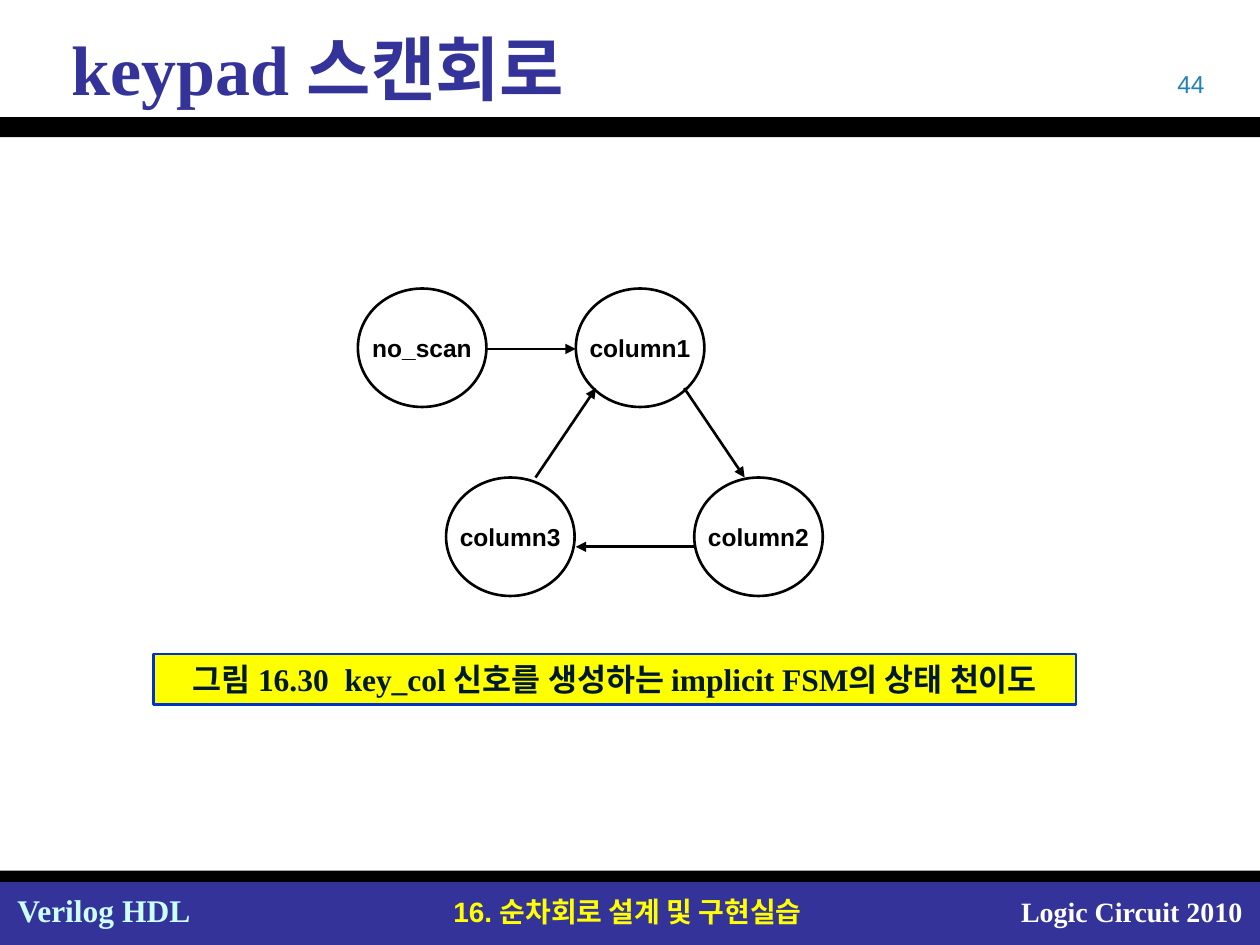
from lxml.etree import SubElement
from pptx import Presentation
from pptx.dml.color import RGBColor
from pptx.enum.shapes import MSO_CONNECTOR as Connector, MSO_SHAPE as Shape
from pptx.enum.text import MSO_ANCHOR as Anchor, MSO_AUTO_SIZE as AutoSize, PP_ALIGN as Align
from pptx.oxml.ns import qn
from pptx.util import Inches, Pt

COLORS = {
    "indigo": "333399", "black": "000000", "yellow": "FFFF00", "white": "FFFFFF",
    "pale_cyan": "CCFFFF", "teal": "2181B7", "blue": "0033CC", "navy": "001932",
}
SERIF, SANS = "Times New Roman", "Arial"

TITLE = ("keypad 스캔회로", (0.17, 0.21, 9.67, 0.65))
CAPTION = ("그림 16.30  key_col 신호를 생성하는 implicit FSM의 상태 천이도", (1.22, 5.19, 7.32, 0.4))
BARS = [
    ((0, 7, 10, 0.5), "indigo"),
    ((0, 0.93, 10, 0.16), "black"),
    ((0, 6.91, 10, 0.09), "black"),
]
LABELS = [
    ("16. 순차회로 설계 및 구현실습", (3.03, 7.05, 3.9, 0.37), Align.CENTER, 16, SANS, "yellow", True),
    ("Logic Circuit 2010", (7.33, 7.05, 2.63, 0.37), Align.RIGHT, 16, SERIF, "white", True),
    ("Verilog HDL", (0.04, 7.02, 1.58, 0.4), Align.LEFT, 18, SERIF, "pale_cyan", True),
    ("44", (7.33, 0.5, 2.33, 0.33), Align.RIGHT, 14, SANS, "teal", False),
]
STATE_SIZE = (1.02, 0.94)
STATES = [
    ("column1", (4.57, 2.29)),
    ("no_scan", (2.84, 2.29)),
    ("column2", (5.51, 3.79)),
    ("column3", (3.54, 3.79)),
]
TRANSITIONS = [
    ((5.51, 4.34), (4.57, 4.34)),
    ((4.25, 3.79), (4.73, 3.08)),
    ((5.43, 3.08), (5.91, 3.79)),
    ((3.86, 2.77), (4.57, 2.77)),
]


def inches(values):
    return [Inches(value) for value in values]


def color(name):
    return RGBColor.from_string(COLORS[name])


def write(shape, text, size, font, ink, align, bold=True, anchor=Anchor.MIDDLE, wrap=True):
    frame = shape.text_frame
    frame.text = text
    frame_format = {
        "auto_size": AutoSize.NONE, "word_wrap": wrap, "vertical_anchor": anchor,
        "margin_left": Inches(0.1), "margin_right": Inches(0.1),
        "margin_top": Inches(0.05), "margin_bottom": Inches(0.05),
    }
    for name, value in frame_format.items():
        setattr(frame, name, value)
    paragraph = frame.paragraphs[0]
    paragraph.alignment = align
    run_font = paragraph.runs[0].font
    for name, value in {"size": Pt(size), "name": font, "bold": bold}.items():
        setattr(run_font, name, value)
    run_font.color.rgb = color(ink)
    return paragraph


def add_shape(slide, kind, box, fill=None, line=None):
    shape = slide.shapes.add_shape(kind, *inches(box))
    shape.shadow.inherit = False
    if fill:
        shape.fill.solid()
        shape.fill.fore_color.rgb = color(fill)
    else:
        shape.fill.background()
    if line:
        shape.line.color.rgb = color(line)
        shape.line.width = Pt(1.5)
    else:
        shape.line.fill.background()
    return shape


def add_arrow(slide, start, end):
    arrow = slide.shapes.add_connector(Connector.STRAIGHT, *inches(start + end))
    arrow.line.color.rgb = color("black")
    arrow.line.width = Pt(1.5)
    SubElement(arrow.line._get_or_add_ln(), qn("a:tailEnd"), type="triangle")
    SubElement(arrow._element.spPr, qn("a:effectLst"))


def main():
    presentation = Presentation()
    presentation.slide_width, presentation.slide_height = Inches(10), Inches(7.5)
    slide = presentation.slides.add_slide(presentation.slide_layouts[5])

    for box, fill in BARS:
        add_shape(slide, Shape.RECTANGLE, box, fill)
    for text, box, align, size, font, ink, bold in LABELS:
        label = slide.shapes.add_textbox(*inches(box))
        paragraph = write(label, text, size, font, ink, align, bold, Anchor.TOP)
    label_margin = Inches(0.1)

    title = slide.shapes.title
    text, box = TITLE
    for name, value in zip(("left", "top", "width", "height"), inches(box)):
        setattr(title, name, value)
    paragraph = write(title, text, 40, SERIF, "indigo", Align.LEFT)
    paragraph._p.get_or_add_pPr().set("marL", str(Inches(0.3)))

    text, box = CAPTION
    caption = add_shape(slide, Shape.RECTANGLE, box, "yellow", "blue")
    write(caption, text, 18, SERIF, "navy", Align.CENTER)

    for text, corner in STATES:
        state = add_shape(slide, Shape.OVAL, corner + STATE_SIZE, line="black")
        write(state, text, 14, SANS, "black", Align.CENTER, wrap=False)
    for start, end in TRANSITIONS:
        add_arrow(slide, start, end)

    presentation.save("out.pptx")


if __name__ == "__main__":
    main()
